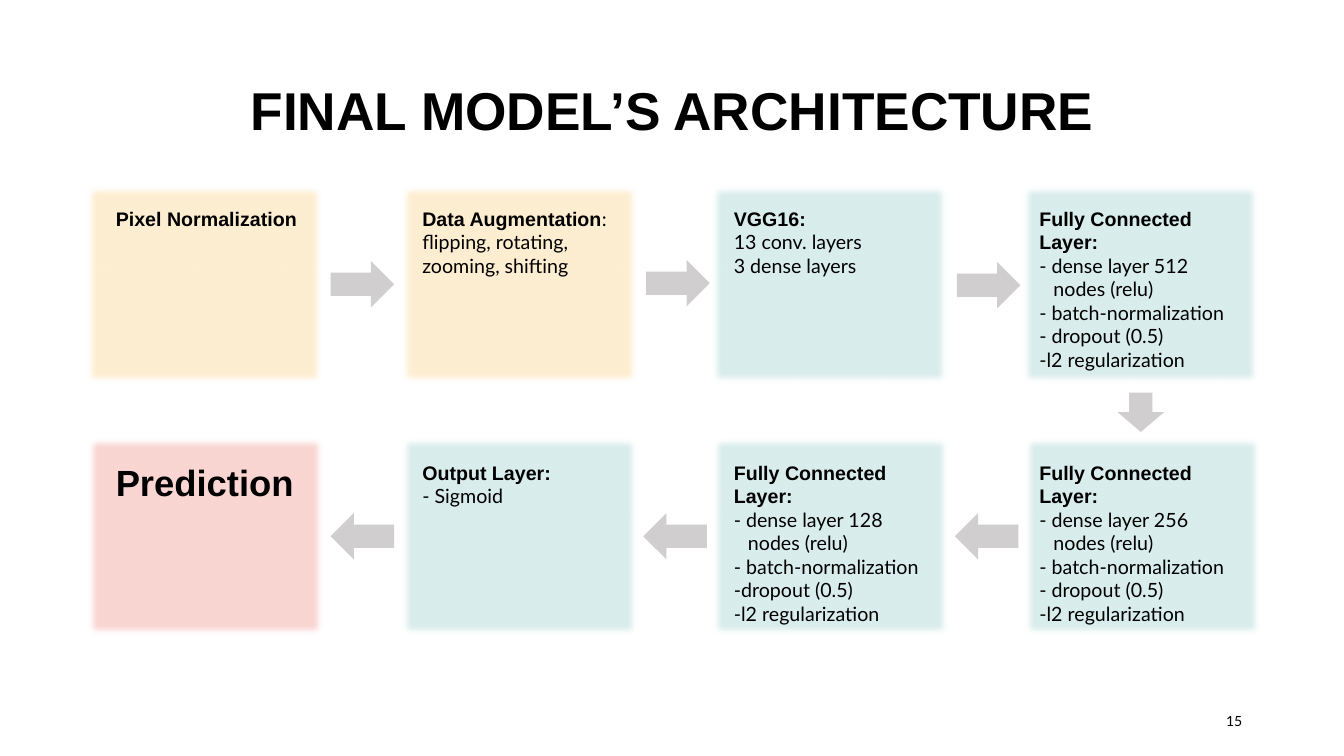
"""Build the slide that shows the final model's layers as a chain of cards."""
from dataclasses import dataclass

from lxml.etree import SubElement
from pptx import Presentation
from pptx.dml.color import RGBColor
from pptx.enum.shapes import MSO_SHAPE
from pptx.enum.text import MSO_ANCHOR, PP_ALIGN
from pptx.oxml.ns import qn
from pptx.util import Inches, Pt


@dataclass(frozen=True)
class Theme:
    ink: str = "000000"
    sand: str = "FEEED1"
    mint: str = "D9EDEC"
    rose: str = "FAD6D3"
    gray: str = "D0CECE"
    head: str = "Arial"
    body: str = "Lato"
    title: int = 38
    large: int = 26
    text: int = 14
    small: int = 10


theme = Theme()
deck = Presentation()
deck.slide_width, deck.slide_height = Inches(13.33), Inches(7.5)
slide = deck.slides.add_slide(deck.slide_layouts[6])


def add_block(kind, box, fill):
    block = slide.shapes.add_shape(kind, *map(Inches, box))
    block.shadow.inherit = False
    block.fill.solid()
    block.fill.fore_color.rgb = RGBColor.from_string(fill)
    block.line.fill.background()
    return block


def add_text(box, lines, anchor=MSO_ANCHOR.TOP, align=PP_ALIGN.LEFT):
    frame = slide.shapes.add_textbox(*map(Inches, box)).text_frame
    frame.word_wrap = True
    frame.vertical_anchor = anchor
    for index, runs in enumerate(lines):
        para = frame.add_paragraph() if index else frame.paragraphs[0]
        para.alignment = align
        for words, size, bold in runs:
            run = para.add_run()
            run.text = words
            run.font.size = Pt(size)
            run.font.bold = bold
            run.font.name = theme.head if bold else theme.body
            run.font.color.rgb = RGBColor.from_string(theme.ink)
    return frame


def_list = ["- batch-normalization", "- dropout (0.5)", "-l2 regularization"]
tight_list = ["- batch-normalization", "-dropout (0.5)", "-l2 regularization"]
nodes = "nodes (relu)"
dense = "Fully Connected Layer:"
text_lefts = [1.05, 4.09, 7.18, 10.21]
rows = [
    (1.81, 2.0, [
        (0.83, theme.sand, theme.text, "Pixel Normalization", "", []),
        (3.95, theme.sand, theme.text, "Data Augmentation", ":",
         ["flipping, rotating, zooming, shifting"]),
        (7.03, theme.mint, theme.text, "VGG16:", "", ["13 conv. layers", "3 dense layers"]),
        (10.11, theme.mint, theme.text, dense, "", ["- dense layer 512", nodes, *def_list]),
    ]),
    (4.31, 4.52, [
        (0.84, theme.rose, theme.large, "Prediction", "", []),
        (3.95, theme.mint, theme.text, "Output Layer:", "", ["- Sigmoid"]),
        (7.04, theme.mint, theme.text, dense, "", ["- dense layer 128", nodes, *tight_list]),
        (10.13, theme.mint, theme.text, dense, "", ["- dense layer 256", nodes, *def_list]),
    ]),
]

title = add_text((0.92, 0.4, 11.5, 1.45), [[("FINAL MODEL’S ARCHITECTURE", theme.title, True)]],
                 MSO_ANCHOR.MIDDLE, PP_ALIGN.CENTER)
title.paragraphs[0].line_spacing = 0.9
add_text((9.42, 6.95, 3, 0.4), [[("15", theme.small, False)]], MSO_ANCHOR.MIDDLE, PP_ALIGN.RIGHT)

for top, text_top, cards in rows:
    for text_left, (left, fill, size, head, tail, notes) in zip(text_lefts, cards):
        card = add_block(MSO_SHAPE.RECTANGLE, (left, top, 2.4, 2.03), fill)
        effects = card._element.spPr.find(qn("a:effectLst"))
        SubElement(effects, qn("a:softEdge"), rad=str(Inches(0.07)))
        first = [(head, size, True)]
        if tail:
            first.append((tail, size, False))
        lines = [first] + [[(note, size, False)] for note in notes]
        frame = add_text((text_left, text_top, 2.07, 1.75), lines)
        for para in frame.paragraphs:
            if para.text == nodes:
                para._p.get_or_add_pPr().set("marL", str(Inches(0.14)))

arrows = [
    (3.28, 2.59, 0.63, 0), (6.41, 2.58, 0.63, 0), (9.49, 2.6, 0.63, 0),
    (11.12, 3.86, 0.39, 90),
    (9.47, 5.09, 0.63, 180), (6.38, 5.09, 0.63, 180), (3.28, 5.09, 0.63, 180),
]
for left, top, width, turn in arrows:
    arrow = add_block(MSO_SHAPE.RIGHT_ARROW, (left, top, width, 0.46), theme.gray)
    arrow.rotation = turn

deck.save("out.pptx")
